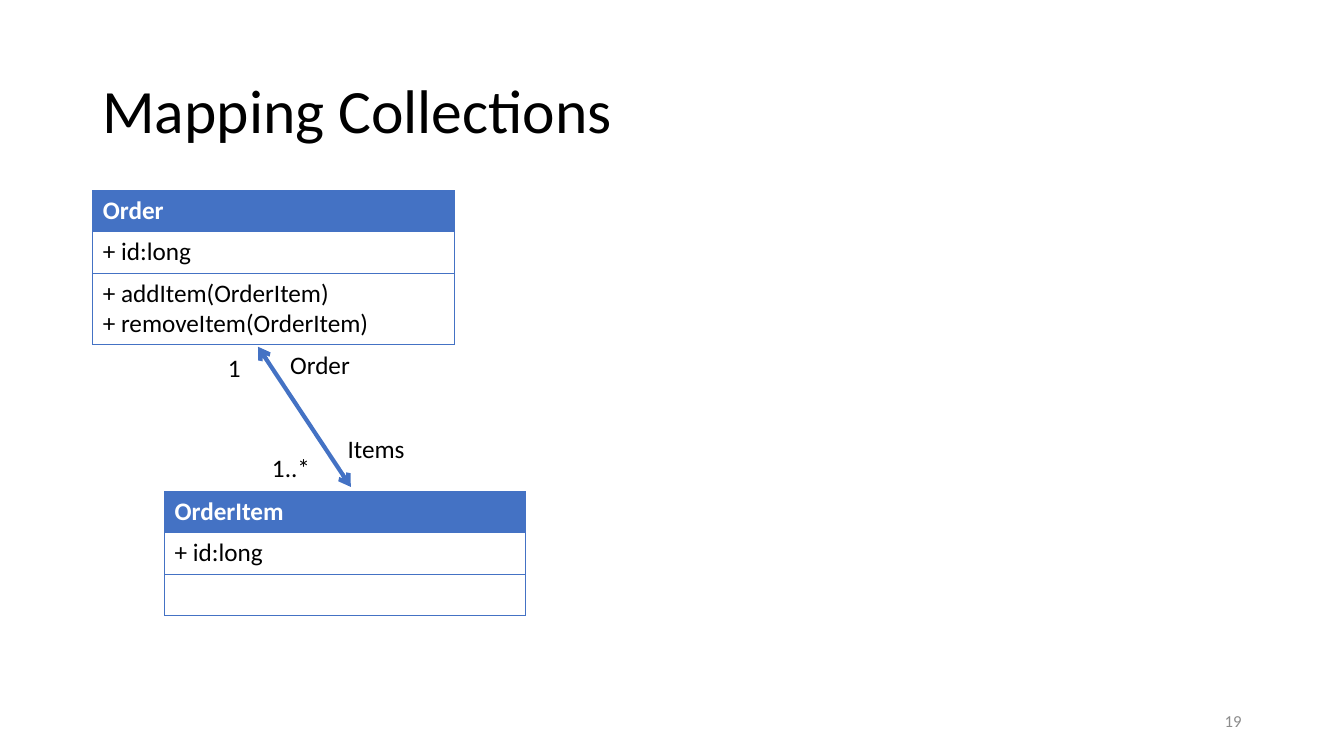
from lxml.etree import SubElement
from pptx import Presentation
from pptx.dml.color import RGBColor
from pptx.enum.shapes import MSO_CONNECTOR
from pptx.enum.text import MSO_ANCHOR, PP_ALIGN
from pptx.oxml.ns import qn
from pptx.util import Pt

BLUE = "4472C4"
BLACK = "000000"
WHITE = "FFFFFF"
GRAY = "8C8C8C"
FONT = "Calibri"
CLASS_WIDTH = 258
ROW_HEIGHT = 29.5
LINE_HEIGHT = 21.6


def color(hex_string):
    return RGBColor.from_string(hex_string)


def write_text(frame, text, size=18, fill=BLACK, bold=False,
               align=PP_ALIGN.LEFT, spacing=1.0):
    """Fill a text frame, one paragraph for each line of text."""
    for index, line in enumerate(text.split("\n")):
        paragraph = frame.paragraphs[0] if index == 0 else frame.add_paragraph()
        paragraph.alignment = align
        paragraph.line_spacing = spacing
        if line:
            run = paragraph.add_run()
            run.text = line
            run.font.name = FONT
            run.font.size = Pt(size)
            run.font.bold = bold
            run.font.color.rgb = color(fill)


def add_text(slide, text, left, top, width, height, wrap=True,
             anchor=MSO_ANCHOR.MIDDLE, **text_format):
    shape = slide.shapes.add_textbox(Pt(left), Pt(top), Pt(width), Pt(height))
    frame = shape.text_frame
    frame.word_wrap = wrap
    frame.vertical_anchor = anchor
    write_text(frame, text, **text_format)


def add_cell_borders(cell):
    properties = cell._tc.get_or_add_tcPr()
    for side in ("lnL", "lnR", "lnT", "lnB"):
        line = SubElement(properties, qn(f"a:{side}"), w=str(Pt(0.5)))
        solid = SubElement(line, qn("a:solidFill"))
        SubElement(solid, qn("a:srgbClr"), val=BLUE)


def add_class_box(slide, left, top, name, attributes, methods):
    """Draw a UML class as a table of name, attributes and methods."""
    sections = (name, attributes, methods)
    heights = [ROW_HEIGHT + LINE_HEIGHT * text.count("\n") for text in sections]
    table = slide.shapes.add_table(len(sections), 1, Pt(left), Pt(top),
                                   Pt(CLASS_WIDTH), Pt(sum(heights))).table
    table.horz_banding = False
    for index, text in enumerate(sections):
        is_header = index == 0
        table.rows[index].height = Pt(heights[index])
        cell = table.cell(index, 0)
        add_cell_borders(cell)
        cell.fill.solid()
        cell.fill.fore_color.rgb = color(BLUE if is_header else WHITE)
        write_text(cell.text_frame, text, bold=is_header,
                   fill=WHITE if is_header else BLACK)


def add_association(slide, start, end):
    """Draw a line with an arrowhead at both ends."""
    connector = slide.shapes.add_connector(
        MSO_CONNECTOR.STRAIGHT, *(Pt(value) for value in start + end))
    connector.line.color.rgb = color(BLUE)
    connector.line.width = Pt(3)
    line = connector.line._get_or_add_ln()
    for tag in ("a:headEnd", "a:tailEnd"):
        SubElement(line, qn(tag), type="arrow")
    SubElement(connector._element.spPr, qn("a:effectLst"))


def main():
    presentation = Presentation()
    presentation.slide_width = Pt(960)
    presentation.slide_height = Pt(540)
    slide = presentation.slides.add_slide(presentation.slide_layouts[6])

    add_text(slide, "Mapping Collections", 66, 28.75, 828, 104.4,
             size=44, spacing=0.9)
    add_text(slide, "19", 678, 500.5, 216, 28.75,
             size=12, fill=GRAY, align=PP_ALIGN.RIGHT)

    add_class_box(slide, 66.25, 136, "Order", "+ id:long",
                  "+ addItem(OrderItem)\n+ removeItem(OrderItem)")
    add_class_box(slide, 117.5, 351, "OrderItem", "+ id:long", "")
    add_association(slide, (184.3, 247.7), (250.6, 347.8))

    labels = (
        ("1", 155.75, 248.4, 23.75),
        ("1..*", 187.2, 319.3, 41.75),
        ("Order", 200.2, 246.2, 57.6),
        ("Items", 241.2, 306.2, 55.4),
    )
    for text, left, top, width in labels:
        add_text(slide, text, left, top, width, 29,
                 wrap=False, anchor=MSO_ANCHOR.TOP)

    presentation.save("out.pptx")


if __name__ == "__main__":
    main()
